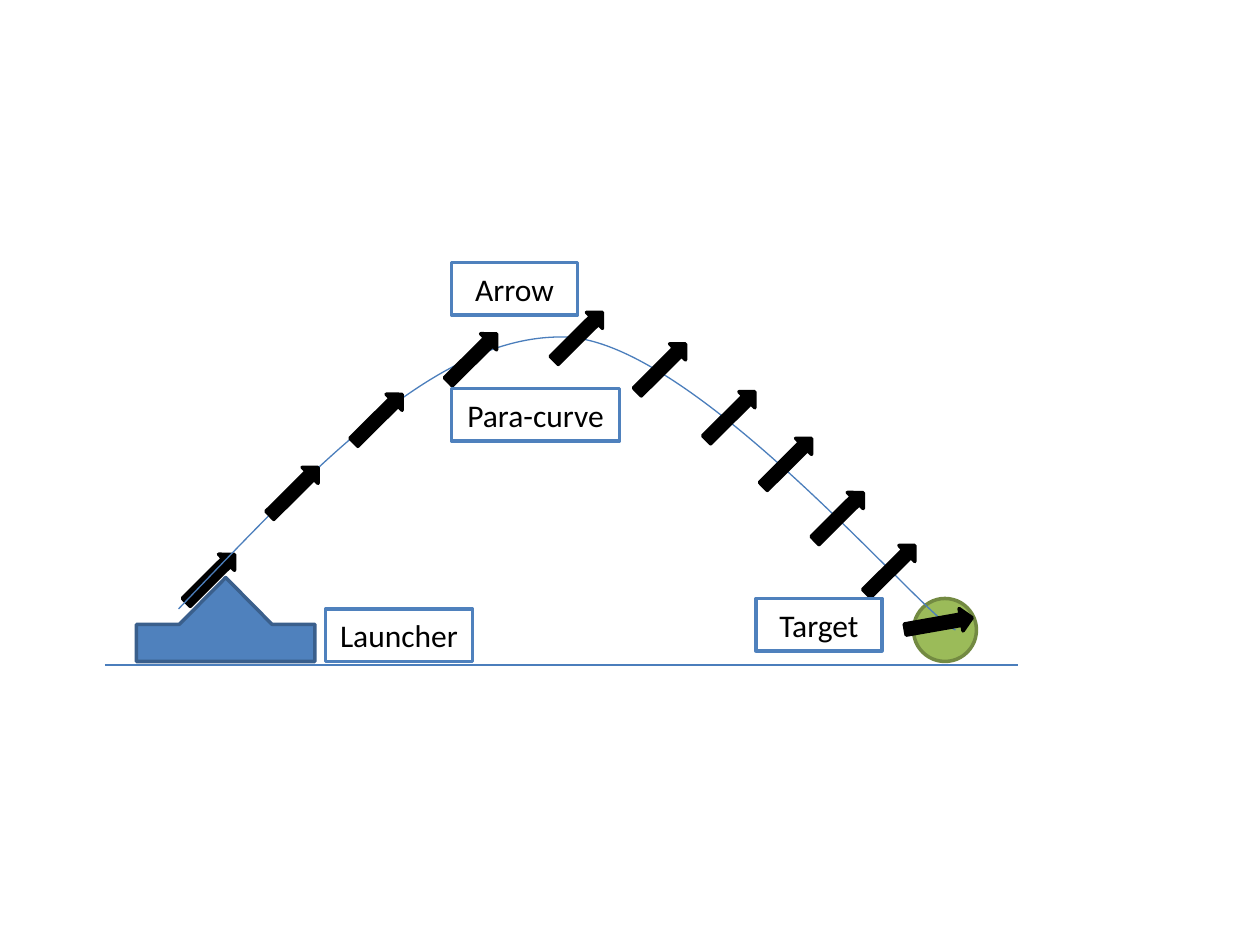
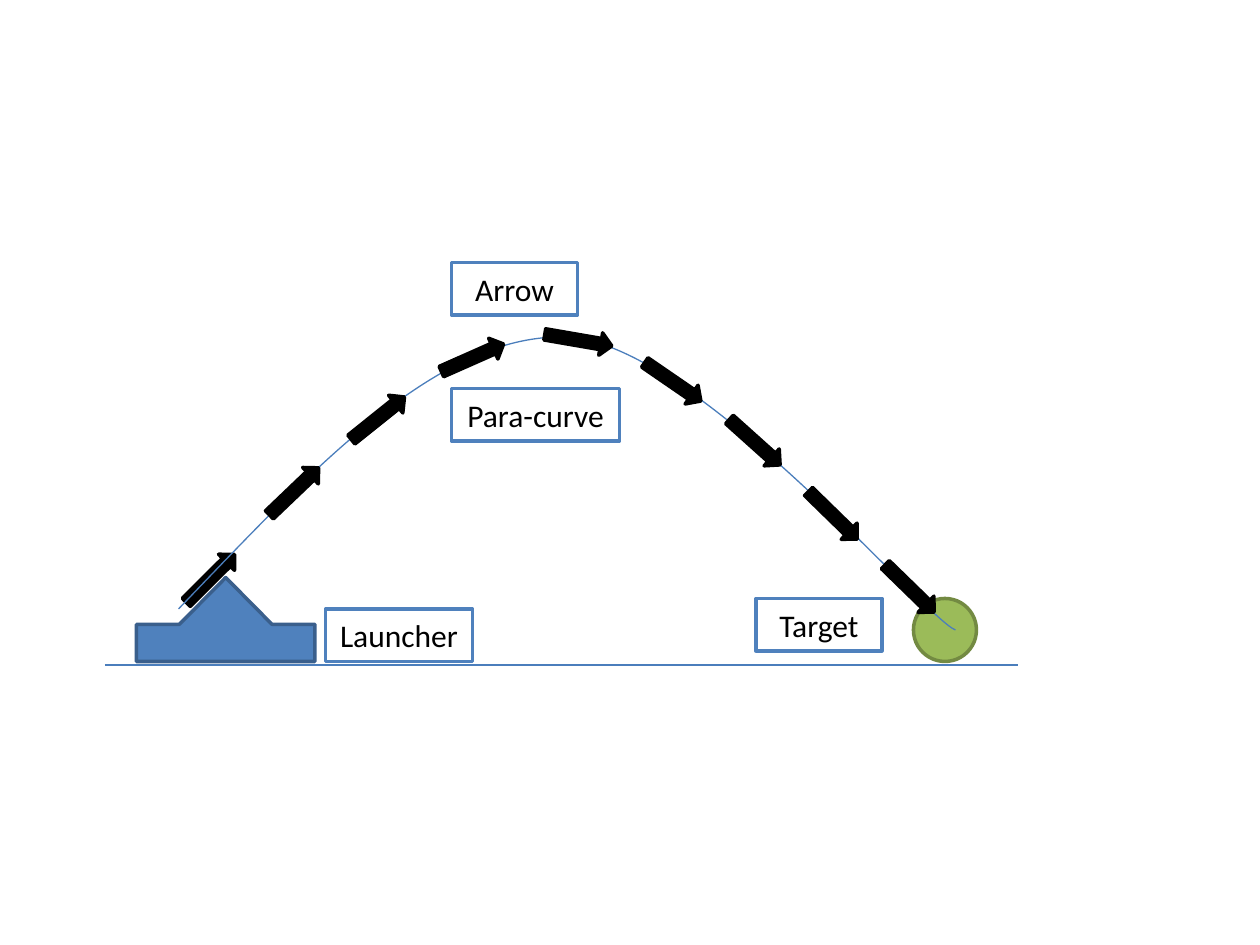
"""Draw an arrow's flight from launcher to target, with fixed and tangent arrows."""
import pptx
import pptx.dml.color
import pptx.enum.shapes
import pptx.enum.text
import pptx.oxml
import pptx.oxml.ns
import pptx.util

SHAPES = pptx.enum.shapes.MSO_SHAPE
COLUMNS, ROWS = 120, 90
CELL = pptx.util.Inches(10) // COLUMNS
BLUE, DARK_BLUE, THIN_BLUE = "4F81BD", "3A5F8C", "4B7EBC"
GREEN, DARK_GREEN = "9BBB59", "738A42"
BLACK, WHITE = "000000", "FFFFFF"
ARROW_WIDTH, ARROW_LENGTH = 2.16, 6.48
FIXED_ANGLE = 45.1

LAUNCHER_ADJUSTMENTS = (1.102, 0.551, 0.557, 0.65)
CURVE_POINTS = [(17, 58), (29.4, 45.1), (41.5, 31.8), (53.8, 32.1),
                (66.1, 32.4), (88, 58.8), (91, 60)]
LABELS = [("Target", 72, 57, 12), ("Arrow", 43, 25, 12),
          ("Launcher", 31, 58, 14), ("Para-curve", 43, 37, 16)]

LAUNCH = (20.04, 55.08)
RISE = [(28, 46.8), (36, 39.84), (45, 34.08)]
FIXED_FALL = [(55.08, 32.04), (63, 35.04), (69.6, 39.6), (75, 44.04),
              (79.92, 49.2), (84.84, 54.24), (89.4, 59.4)]
TANGENT_FALL = [(55.08, 32.4), (64.08, 36.36), (71.88, 42.12),
                (79.32, 49.08), (86.64, 56.04)]
FIXED_ANGLES = [FIXED_ANGLE] * 9 + [80]
TANGENT_ANGLES = [46.3, 51.3, 66.1, 99.8, 124.5, 131.9, 134.3, 134.2]


def color(value):
    """Turn a hex string into a colour."""
    return pptx.dml.color.RGBColor.from_string(value)


def grid(*cells):
    """Turn grid cells into lengths."""
    return [pptx.util.Emu(round(cell * CELL)) for cell in cells]


def set_line(shape, line_color, points):
    """Set the colour and the width of an outline."""
    shape.line.color.rgb = color(line_color)
    shape.line.width = pptx.util.Pt(points)


def add_block(slide, kind, box, fill, outline):
    """Add a filled preset shape on the grid."""
    shape = slide.shapes.add_shape(kind, *grid(*box))
    shape.shadow.inherit = False
    shape.fill.solid()
    shape.fill.fore_color.rgb = color(fill)
    set_line(shape, outline, 2)
    return shape


def add_arrow(slide, center, angle):
    """Add a black arrow around a centre, turned clockwise from upright."""
    column, row = center
    box = (column - ARROW_WIDTH / 2, row - ARROW_LENGTH / 2, ARROW_WIDTH, ARROW_LENGTH)
    add_block(slide, SHAPES.UP_ARROW, box, BLACK, BLACK).rotation = angle


def add_label(slide, text, column, row, width):
    """Add a white box with centred text."""
    shape = add_block(slide, SHAPES.RECTANGLE, (column, row, width, 5), WHITE, BLUE)
    shape.text_frame.vertical_anchor = pptx.enum.text.MSO_ANCHOR.MIDDLE
    paragraph = shape.text_frame.paragraphs[0]
    paragraph.text = text
    paragraph.alignment = pptx.enum.text.PP_ALIGN.CENTER
    paragraph.font.name = "Calibri"
    paragraph.font.size = pptx.util.Pt(18)
    paragraph.font.color.rgb = color(BLACK)


def add_curve(slide, points):
    """Add an open curve of cubic segments through its control points."""
    start, *controls = [grid(*point) for point in points]
    builder = slide.shapes.build_freeform(*start)
    builder.add_line_segments(controls, close=False)
    shape = builder.convert_to_shape()
    path = next(shape.element.iter(pptx.oxml.ns.qn("a:path")))
    segments = path.findall(pptx.oxml.ns.qn("a:lnTo"))
    for first in range(0, len(segments), 3):
        curve = pptx.oxml.parse_xml(f"<a:cubicBezTo {pptx.oxml.ns.nsdecls('a')}/>")
        for segment in segments[first:first + 3]:
            curve.append(segment[0])
            path.remove(segment)
        path.append(curve)
    shape.shadow.inherit = False
    shape.fill.background()
    set_line(shape, THIN_BLUE, 0.75)


def add_ground(slide):
    """Add the thin ground line."""
    ends = grid(10, 63.33, 97, 63.33)
    ground = slide.shapes.add_connector(pptx.enum.shapes.MSO_CONNECTOR.STRAIGHT, *ends)
    set_line(ground, THIN_BLUE, 0.75)
    effects = pptx.oxml.parse_xml(f"<a:effectLst {pptx.oxml.ns.nsdecls('a')}/>")
    ground.element.spPr.append(effects)


def add_flight(presentation, centers, angles):
    """Add a slide with the whole scene and one arrow for each centre."""
    slide = presentation.slides.add_slide(presentation.slide_layouts[6])
    add_block(slide, SHAPES.OVAL, (87, 57, 6, 6), GREEN, DARK_GREEN)
    launcher = add_block(slide, SHAPES.UP_ARROW_CALLOUT, (13, 55, 17, 8), BLUE, DARK_BLUE)
    for index, value in enumerate(LAUNCHER_ADJUSTMENTS):
        launcher.adjustments[index] = value
    add_arrow(slide, LAUNCH, FIXED_ANGLE)
    add_curve(slide, CURVE_POINTS)
    for center, angle in zip(centers, angles):
        add_arrow(slide, center, angle)
    add_ground(slide)
    for label in LABELS:
        add_label(slide, *label)


def main():
    """Build and save both slides."""
    presentation = pptx.Presentation()
    presentation.slide_width, presentation.slide_height = grid(COLUMNS, ROWS)
    add_flight(presentation, RISE + FIXED_FALL, FIXED_ANGLES)
    add_flight(presentation, RISE + TANGENT_FALL, TANGENT_ANGLES)
    presentation.save("out.pptx")


if __name__ == "__main__":
    main()
